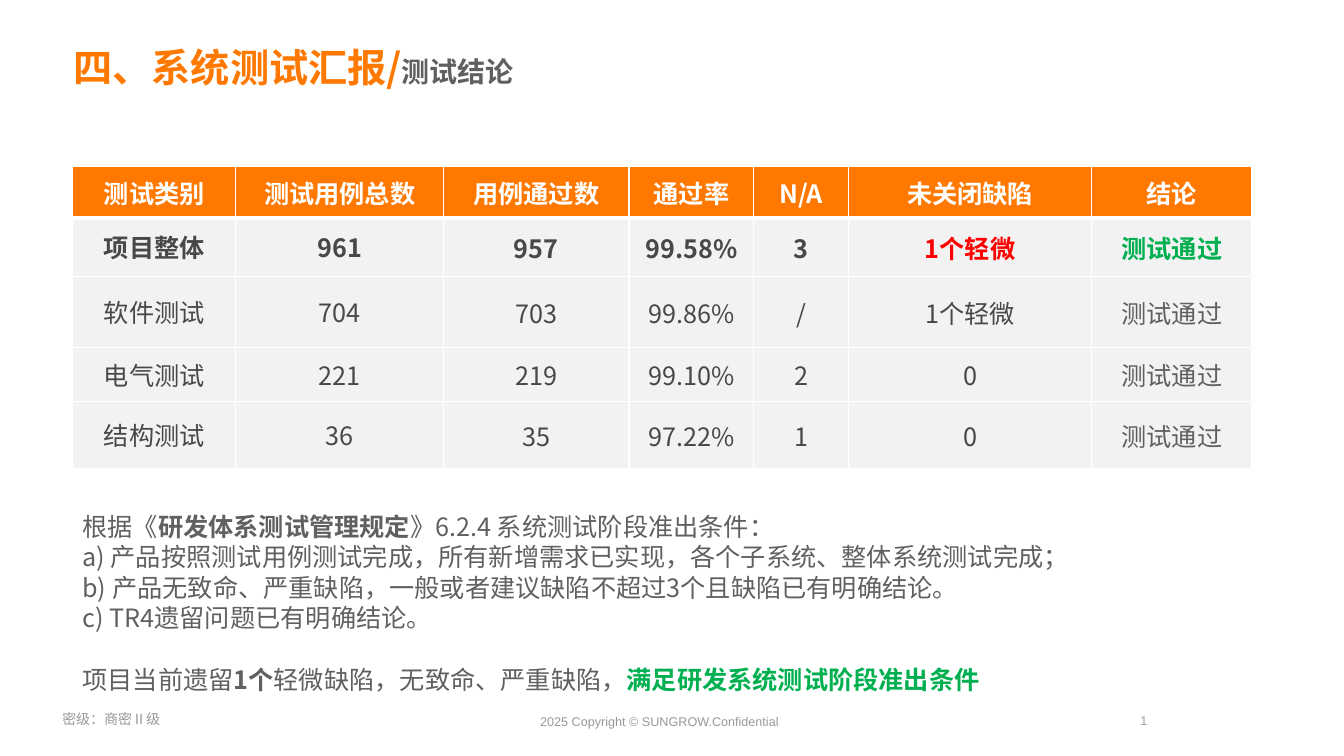
from lxml import etree
from pptx import Presentation
from pptx.dml.color import RGBColor
from pptx.enum.text import MSO_ANCHOR, MSO_AUTO_SIZE, PP_ALIGN
from pptx.oxml.ns import qn
from pptx.util import Inches, Pt

TOP, MIDDLE = MSO_ANCHOR.TOP, MSO_ANCHOR.MIDDLE
LEFT, CENTER, RIGHT = PP_ALIGN.LEFT, PP_ALIGN.CENTER, PP_ALIGN.RIGHT
NO_FIT = MSO_AUTO_SIZE.NONE

CJK, LATIN = "Noto Sans CJK SC", "Arial"
ORANGE, GREEN, RED, WHITE = "FF7900", "00B050", "FF0000", "FFFFFF"
GREY, DARK, PALE, FOOTER, PAGE = "5F605F", "474847", "F2F2F2", "979897", "9D9D9D"
LINE_PITCH = Pt(21.8)

HEADERS = ["测试类别", "测试用例总数", "用例通过数", "通过率", "N/A", "未关闭缺陷", "结论"]
RESULTS = [
    ["项目整体", "961", "957", "99.58%", "3", "1个轻微", "测试通过"],
    ["软件测试", "704", "703", "99.86%", "/", "1个轻微", "测试通过"],
    ["电气测试", "221", "219", "99.10%", "2", "0", "测试通过"],
    ["结构测试", "36", "35", "97.22%", "1", "0", "测试通过"],
]
COLUMN_SHARES = [12.15, 15.45, 13.8, 9.3, 7.05, 18.08, 11.93]
ROW_SHARES = [6.8, 7.73, 9.47, 7.07, 8.93]
DEFECTS, VERDICT = 5, 6

EXIT_CRITERIA = [
    [("根据《", {}), ("研发体系测试管理规定", {"bold": True}), ("》6.2.4 系统测试阶段准出条件：", {})],
    [("a) 产品按照测试用例测试完成，所有新增需求已实现，各个子系统、整体系统测试完成；", {})],
    [("b) 产品无致命、严重缺陷，一般或者建议缺陷不超过3个且缺陷已有明确结论。", {})],
    [("c) TR4遗留问题已有明确结论。", {})],
    [("项目当前遗留", {}), ("1个", {"bold": True}), ("轻微缺陷，无致命、严重缺陷，", {}),
     ("满足研发系统测试阶段准出条件", {"bold": True, "color": GREEN})],
]


def rgb(hex_color):
    return RGBColor.from_string(hex_color)


class Deck:
    """Style and current slide; positions are percentages of the slide's size."""

    def __init__(self):
        self.prs = Presentation()
        self.prs.slide_width, self.prs.slide_height = Inches(13.33), Inches(7.5)
        self.slide = self.prs.slides.add_slide(self.prs.slide_layouts[6])

    def x(self, share):
        return round(self.prs.slide_width * share / 100)

    def y(self, share):
        return round(self.prs.slide_height * share / 100)

    def run(self, p, text, size=18, color=GREY, bold=False, font=CJK):
        r = p.add_run()
        r.text = text
        r.font.size, r.font.bold, r.font.name = Pt(size), bold, font
        r.font.color.rgb = rgb(color)
        etree.SubElement(r.font._element, qn("a:ea"), typeface=CJK)

    def text(self, left, top, width, height, paragraphs, anchor=TOP, align=LEFT,
             wrap=True, spacing=None):
        box = self.slide.shapes.add_textbox(self.x(left), self.y(top), self.x(width), self.y(height))
        tf = box.text_frame
        tf.word_wrap, tf.auto_size, tf.vertical_anchor = wrap, NO_FIT, anchor
        for i, runs in enumerate(paragraphs):
            p = tf.add_paragraph() if i else tf.paragraphs[0]
            p.alignment, p.line_spacing = align, spacing
            for text, style in runs:
                self.run(p, text, **style)
        return tf

    def border(self, cell, side, points):
        line = etree.SubElement(cell._tc.get_or_add_tcPr(), qn(f"a:ln{side}"), w=str(Pt(points)))
        fill = etree.SubElement(line, qn("a:solidFill"))
        etree.SubElement(fill, qn("a:srgbClr"), val=WHITE)

    def cell(self, cell, text, fill, margins, bottom=1, **style):
        cell.margin_left, cell.margin_top, cell.margin_right, cell.margin_bottom = map(Inches, margins)
        cell.vertical_anchor = MIDDLE
        for side, points in (("L", 1), ("R", 1), ("T", 1), ("B", bottom)):
            self.border(cell, side, points)
        cell.fill.solid()
        cell.fill.fore_color.rgb = rgb(fill)
        p = cell.text_frame.paragraphs[0]
        p.alignment = CENTER
        self.run(p, text, **style)

    def results_table(self, left, top):
        table = self.slide.shapes.add_table(
            len(ROW_SHARES), len(COLUMN_SHARES), self.x(left), self.y(top),
            self.x(sum(COLUMN_SHARES)), self.y(sum(ROW_SHARES))).table
        for column, share in zip(table.columns, COLUMN_SHARES):
            column.width = self.x(share)
        for row, share in zip(table.rows, ROW_SHARES):
            row.height = self.y(share)
        wide, tight = (0.1, 0.05, 0.1, 0.05), (0.01, 0.01, 0.01, 0)
        for c, header in enumerate(HEADERS):
            self.cell(table.cell(0, c), header, ORANGE, wide, bottom=3, color=WHITE, bold=True)
        for r, values in enumerate(RESULTS, 1):
            overall = r == 1
            colors = {DEFECTS: RED if overall else DARK, VERDICT: GREEN if overall else GREY}
            for c, value in enumerate(values):
                self.cell(table.cell(r, c), value, PALE, wide if c < 2 else tight,
                          color=colors.get(c, DARK), bold=overall,
                          font=LATIN if c == VERDICT else CJK)


def main():
    deck = Deck()
    small = {"size": 9, "font": LATIN, "color": FOOTER}
    deck.text(39.46, 93.73, 20.41, 3.33, [[("2025 Copyright © SUNGROW.Confidential", small)]])
    deck.text(3.9, 93.33, 8.85, 3.6, [[("密级：商密Ⅱ级", {**small, "size": 10})]], wrap=False)
    deck.text(73.44, 92.67, 12.68, 5.33, [[("1", {**small, "color": PAGE})]], MIDDLE, RIGHT)
    deck.text(4.73, 5.73, 68.12, 7.07, [[
        ("四、系统测试汇报/", {"size": 28, "color": ORANGE, "bold": True}),
        ("测试结论", {"size": 20, "bold": True}),
    ]], MIDDLE, spacing=0.9)
    deck.results_table(5.4, 22)
    criteria = deck.text(5.4, 66.93, 86.95, 25.6, EXIT_CRITERIA, spacing=LINE_PITCH)
    criteria.paragraphs[-1].space_before = LINE_PITCH
    deck.prs.save("out.pptx")


if __name__ == "__main__":
    main()
